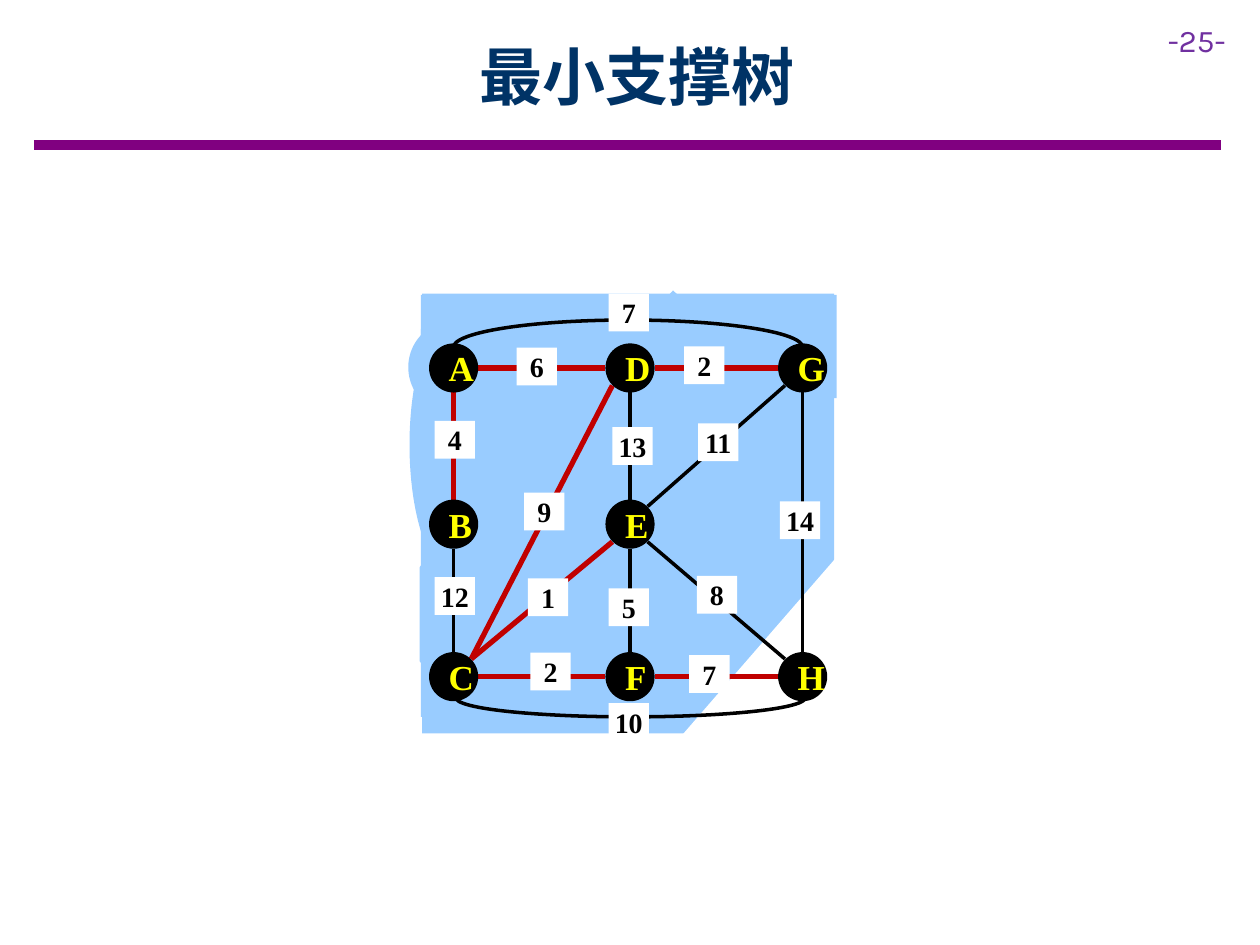
from lxml import etree
from pptx import Presentation
from pptx.dml.color import RGBColor
from pptx.enum.shapes import MSO_CONNECTOR, MSO_SHAPE
from pptx.enum.text import MSO_ANCHOR, PP_ALIGN
from pptx.oxml.ns import qn
from pptx.util import Inches, Pt

RECT, OVAL, ARC = MSO_SHAPE.RECTANGLE, MSO_SHAPE.OVAL, MSO_SHAPE.ARC
TRIANGLE = MSO_SHAPE.ISOSCELES_TRIANGLE
STRAIGHT = MSO_CONNECTOR.STRAIGHT
CENTER, MIDDLE = PP_ALIGN.CENTER, MSO_ANCHOR.MIDDLE

BLACK = RGBColor(0, 0, 0)
WHITE = RGBColor(0xFF, 0xFF, 0xFF)
YELLOW = RGBColor(0xFF, 0xFF, 0)
RED = RGBColor(0xC0, 0, 0)
SKY = RGBColor(0x99, 0xCC, 0xFF)
NAVY = RGBColor(0, 0x33, 0x66)
PURPLE = RGBColor(0x80, 0, 0x80)
VIOLET = RGBColor(0x70, 0x30, 0xA0)

NODE = 0.39
DIAGONAL = 0.14  # x and y offset from a node's centre to its diagonal point
LABEL_W, LABEL_H = 0.32, 0.3

prs = Presentation()
prs.slide_width, prs.slide_height = Inches(10), Inches(7.5)
s = prs.slides.add_slide(prs.slide_layouts[5])


def add_line(x1, y1, x2, y2, color, width):
    c = s.shapes.add_connector(STRAIGHT, Inches(x1), Inches(y1), Inches(x2), Inches(y2))
    c.line.color.rgb = color
    c.line.width = Pt(width)
    etree.SubElement(c._element.spPr, qn("a:effectLst"))


def add_block(kind, box, fill, text="", size=16, color=BLACK, inset=0):
    """Add a borderless shape, with bold centred text if any is given."""
    sp = s.shapes.add_shape(kind, *[Inches(v) for v in box])
    sp.shadow.inherit = False
    sp.line.fill.background()
    sp.fill.solid()
    sp.fill.fore_color.rgb = fill
    if text:
        tf = sp.text_frame
        tf.margin_left = tf.margin_right = Inches(inset)
        tf.margin_top = tf.margin_bottom = Inches(0.1)
        tf.vertical_anchor = MIDDLE
        p = tf.paragraphs[0]
        p.text = text
        p.alignment = CENTER
        f = p.runs[0].font
        f.name, f.size, f.bold = "Times New Roman", Pt(size), True
        f.color.rgb = color
    return sp


# Header
add_line(0.27, 1.15, 9.69, 1.15, PURPLE, 6)
number = s.shapes.add_textbox(Inches(9.17), Inches(0.12), Inches(0.83), Inches(0.4))
number.text_frame.word_wrap = True
p = number.text_frame.paragraphs[0]
p.text = "-25-"
f = p.runs[0].font
f.name, f.size = "Karla", Pt(18)
f.color.rgb = VIOLET

title = s.shapes.title
title.left, title.top = Inches(0.9), Inches(0.1)
title.width, title.height = Inches(8.31), Inches(1)
title.text_frame.vertical_anchor = MIDDLE
p = title.text_frame.paragraphs[0]
p.text = "最小支撑树"
p.alignment = CENTER
r = p.runs[0]
r.font.name, r.font.size, r.font.bold = "Noto Sans CJK SC", Pt(36), True
r.font.color.rgb = NAVY
etree.SubElement(r._r.get_or_add_rPr(), qn("a:ea"), typeface="Noto Sans CJK SC")

# Region behind the graph: kind, box, fill, rotation
region = [
    (RECT, (3.35, 2.33, 3.27, 3.49), SKY, 0),
    (TRIANGLE, (5.4, 4.41, 1.25, 1.44), WHITE, 0),
    (RECT, (2.83, 3.41, 3.53, 1.21), SKY, 312.5),
    (RECT, (2.65, 4.7, 0.98, 0.38), WHITE, 270),
    (RECT, (2.07, 3.88, 3.08, 0.54), SKY, 90),
    (RECT, (3.34, 2.34, 3.3, 0.82), SKY, 0),
    (OVAL, (3.25, 2.5, 0.71, 2.06), SKY, 0),
    (OVAL, (3.24, 2.55, 0.71, 0.73), SKY, 0),
]
for kind, box, fill, rotation in region:
    sp = add_block(kind, box, fill)
    sp.rotation = rotation
    if kind == TRIANGLE:
        sp.adjustments[0] = 1

# Node centres on a grid of three columns and three rows
cols, rows = (3.6, 5, 6.37), (2.92, 4.16, 5.37)
grid = ["ADG", "BE", "CFH"]
nodes = {name: (x, y) for names, y in zip(grid, rows) for name, x in zip(names, cols)}

# Edges outside the tree in black, tree edges in red
others = ["BC", "DE", "EF", "EH", "GE", "GH"]
tree = ["AB", "AD", "DG", "DC", "EC", "CF", "HF"]
for edges, color, width in ((others, BLACK, 2), (tree, RED, 3)):
    for a, b in edges:
        (x1, y1), (x2, y2) = nodes[a], nodes[b]
        dx, dy = (x2 > x1) - (x2 < x1), (y2 > y1) - (y2 < y1)
        gap = DIAGONAL if dx and dy else NODE / 2
        add_line(x1 + dx * gap, y1 + dy * gap, x2 - dx * gap, y2 - dy * gap, color, width)

for box, flipped in (((3.6, 2.54, 2.77, 0.43), False), ((3.62, 5.39, 2.77, 0.3), True)):
    sp = s.shapes.add_shape(ARC, *[Inches(v) for v in box])
    sp.shadow.inherit = False
    sp.fill.background()
    sp.line.color.rgb = BLACK
    sp.line.width = Pt(2)
    sp.adjustments[0], sp.adjustments[1] = 108.175, 0
    if flipped:
        sp._element.spPr.xfrm.set("flipV", "1")

# Edge weights: text, left, top
weights = [
    ("12", 3.45, 4.58), ("13", 4.86, 3.39), ("11", 5.54, 3.36), ("14", 6.19, 3.98),
    ("8", 5.53, 4.57), ("10", 4.83, 5.58), ("7", 4.83, 2.33), ("4", 3.45, 3.34),
    ("6", 4.1, 2.76), ("2", 5.43, 2.75), ("9", 4.16, 3.91), ("1", 4.19, 4.59),
    ("5", 4.83, 4.67), ("7", 5.47, 5.2), ("2", 4.21, 5.18),
]
for text, x, y in weights:
    add_block(RECT, (x, y, LABEL_W, LABEL_H), WHITE, text)

for name, (x, y) in nodes.items():
    add_block(OVAL, (x - NODE / 2, y - NODE / 2, NODE, NODE), BLACK, name, 20, YELLOW, 0.1)

prs.save("out.pptx")
